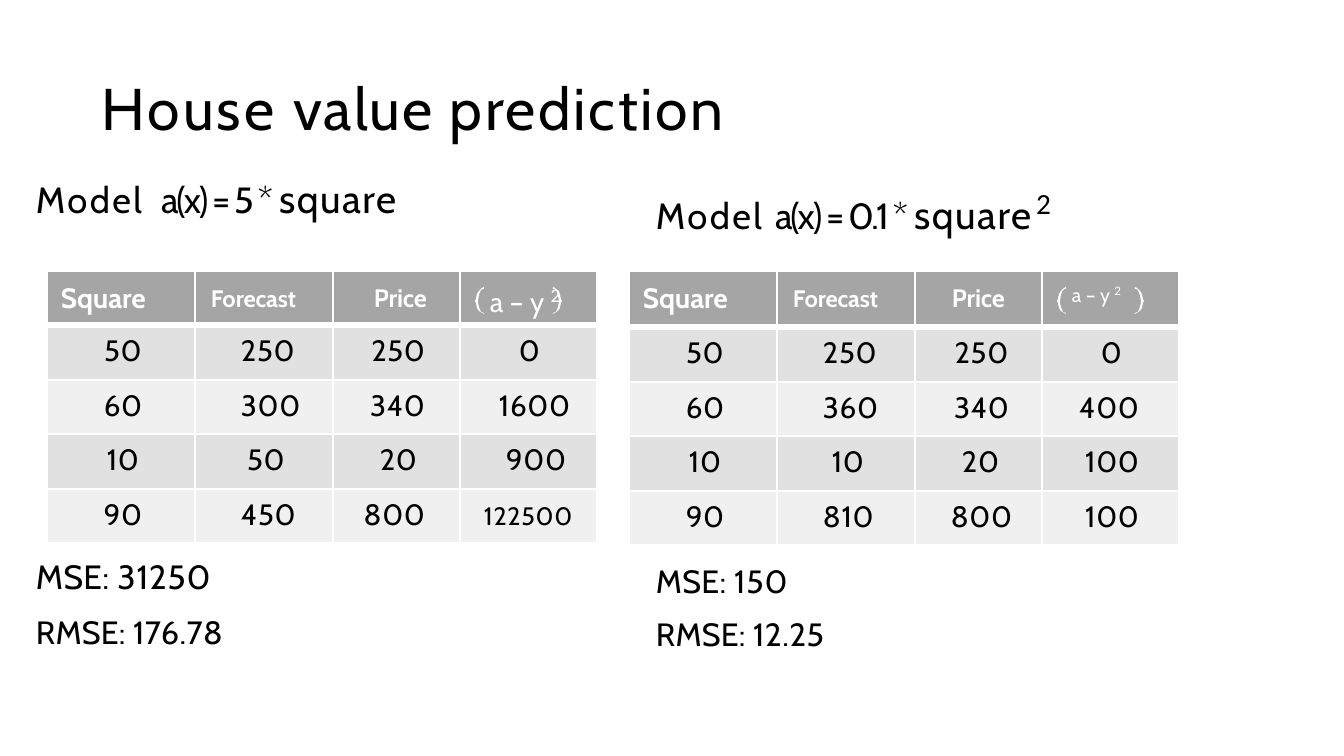
from lxml.etree import SubElement
from pptx import Presentation
from pptx.dml.color import RGBColor
from pptx.enum.text import MSO_ANCHOR, MSO_AUTO_SIZE, PP_ALIGN
from pptx.oxml.ns import qn
from pptx.util import Emu, Pt

SCALE = 12192000 / 1344
COLORS = {"ink": "000000", "white": "FFFFFF", "header": "A5A5A5",
          "odd": "E1E1E1", "even": "F0F0F0"}
ALIGN = {"L": PP_ALIGN.LEFT, "C": PP_ALIGN.CENTER, "R": PP_ALIGN.RIGHT}
COLUMNS = (148, 138, 127, 137)
TOP_INSET = {14: 10, 17: 14, 18: 12, 20: 10, 21: 8}
BRACKET = ((0, 0), (0, 2), (1, 2), (3, 3), (5, 8), (6, 14), (6, 16), (5, 20),
           (3, 25), (0, 26), (0, 27), (5, 24), (7, 21), (8, 16), (9, 14),
           (8, 12), (7, 7), (5, 4), (2, 1))
BRACKET_WIDTH = 9


def px(length):
    """Turn px into EMU."""
    return Emu(round(length * SCALE))


def color(name):
    """Look up a palette colour."""
    return RGBColor.from_string(COLORS[name])


def apply(target, values):
    """Set each attribute in values on the target."""
    for name, value in values.items():
        setattr(target, name, value)


def write(paragraph, text, size, spacing=0, ink="ink", bold=False,
          face="Cabin", raised=0):
    """Add one formatted run to a paragraph."""
    run = paragraph.add_run()
    run.text = text
    apply(run.font, {"name": face, "size": Pt(size), "bold": bold})
    run.font.color.rgb = color(ink)
    properties = run.font._element
    properties.set("spc", str(round(spacing * 100)))
    if raised:
        properties.set("baseline", str(raised * 1000))


def fill_frame(frame, lines, top=1, gap=0):
    """Write lines of runs into a text frame."""
    apply(frame, {"margin_left": px(1), "margin_top": px(top),
                  "margin_right": 0, "margin_bottom": 0, "word_wrap": True,
                  "vertical_anchor": MSO_ANCHOR.TOP,
                  "auto_size": MSO_AUTO_SIZE.SHAPE_TO_FIT_TEXT})
    for index, runs in enumerate(lines):
        paragraph = frame.paragraphs[0] if index == 0 else frame.add_paragraph()
        apply(paragraph, {"alignment": PP_ALIGN.LEFT,
                          "space_before": Pt(gap if index else 0)})
        for run in runs:
            write(paragraph, *run)


def add_title(slide, box):
    """Place the slide title in its box."""
    title = slide.shapes.title
    apply(title, dict(zip(("left", "top", "width", "height"), map(px, box))))
    fill_frame(title.text_frame, [[("House ", 42, 2.1), ("value ", 42, 1.4),
                                   ("prediction", 42, 1.9)]])


def add_text(slide, box, lines, top=1, gap=0):
    """Place a text region in its box."""
    region = slide.shapes.add_textbox(*map(px, box))
    fill_frame(region.text_frame, lines, top, gap)


def draw_borders(cell, row):
    """Give a cell white rules, heavier under the header."""
    properties = cell._tc.get_or_add_tcPr()
    heavy = {(0, "lnB"), (1, "lnT")}
    for side in ("lnL", "lnR", "lnT", "lnB"):
        weight = 4.25 if (row, side) in heavy else 1.5
        line = SubElement(properties, qn("a:" + side), w=str(Pt(weight)))
        solid = SubElement(line, qn("a:solidFill"))
        SubElement(solid, qn("a:srgbClr"), val=COLORS["white"])


def format_cell(cell, row, place, size):
    """Set borders, fill, insets and alignment of a cell."""
    draw_borders(cell, row)
    cell.fill.solid()
    shade = "header" if row == 0 else "odd" if row % 2 else "even"
    cell.fill.fore_color.rgb = color(shade)
    inset = px(int(place[1:]))
    on_right = place[0] == "R"
    apply(cell, {"margin_left": 0 if on_right else inset,
                 "margin_right": inset if on_right else 0,
                 "margin_top": px(TOP_INSET[size]), "margin_bottom": 0,
                 "vertical_anchor": MSO_ANCHOR.TOP})
    cell.text_frame.paragraphs[0].alignment = ALIGN[place[0]]


def add_brackets(slide, left, top):
    """Draw the pair of round brackets of the error formula."""
    closing = [(left + BRACKET_WIDTH + 69 + x, top + y) for x, y in BRACKET]
    opening = [(left + BRACKET_WIDTH - x, top + y) for x, y in BRACKET]
    outline = slide.shapes.build_freeform(*closing[0], scale=SCALE)
    outline.add_line_segments(closing[1:], close=True)
    outline.move_to(*opening[0])
    outline.add_line_segments(opening[1:], close=True)
    brackets = outline.convert_to_shape()
    brackets.shadow.inherit = False
    brackets.fill.solid()
    brackets.fill.fore_color.rgb = color("white")
    brackets.line.fill.background()


def add_errors(slide, box, heights, price_place, formula, rows):
    """Build the table of forecasts and squared errors in its box."""
    left, top = box
    area = map(px, (left, top, sum(COLUMNS), sum(heights)))
    errors = slide.shapes.add_table(len(heights), len(COLUMNS), *area).table
    for column, width in zip(errors.columns, COLUMNS):
        column.width = px(width)
    for row, height in zip(errors.rows, heights):
        row.height = px(height)
    headings = (("Square", "L14", 20), ("Forecast", "L16", 17),
                ("Price", price_place, 18))
    for index, (heading, place, size) in enumerate(headings):
        cell = errors.cell(0, index)
        format_cell(cell, 0, place, size)
        write(cell.text_frame.paragraphs[0], heading, size, -0.1, "white", True)
    size, power_size = formula
    cell = errors.cell(0, 3)
    format_cell(cell, 0, "L30", size)
    paragraph = cell.text_frame.paragraphs[0]
    write(paragraph, "a – y ", size, ink="white")
    write(paragraph, "2", power_size, ink="white", face="Calibri", raised=30)
    for row, (values, places) in enumerate(rows, 1):
        for index, (value, place) in enumerate(zip(values.split(), places.split())):
            size = 18 if len(value) > 4 else 21
            cell = errors.cell(row, index)
            format_cell(cell, row, place, size)
            write(cell.text_frame.paragraphs[0], value, size,
                  0 if value == "0" else 0.5)
    add_brackets(slide, left + sum(COLUMNS[:3]) + 15, top + 16)


def main():
    """Build and save the slide."""
    deck = Presentation()
    apply(deck, {"slide_width": px(1344), "slide_height": px(756)})
    slide = deck.slides.add_slide(deck.slide_layouts[5])
    add_errors(slide, (47, 271), (54, 55, 54, 55, 54), "R33", (20, 24), (
        ("50 250 250 0", "C4 L46 R35 C2"),
        ("60 300 340 1600", "C4 L46 R35 L39"),
        ("10 50 20 900", "C4 C4 C4 L46"),
        ("90 450 800 122500", "C4 L46 R35 L24")))
    add_errors(slide, (629, 271), (56, 55, 54, 55, 54), "C0", (14, 16), (
        ("50 250 250 0", "C4 L46 C6 C2"),
        ("60 360 340 400", "C4 L46 C6 R40"),
        ("10 10 20 100", "C4 C4 C4 R40"),
        ("90 810 800 100", "C4 L46 C6 R40")))
    add_title(slide, (101, 71, 639, 74))
    add_text(slide, (35, 173, 511, 49), [[
        ("Model", 26, 1.7), (" ", 26, 6), ("a(x) = 5 * ", 26, -1.6),
        ("square", 28, 1.1)]])
    add_text(slide, (655, 178, 512, 62), [[
        ("Model ", 26, 1.7), ("a(x) = 0.1 * ", 26, -1.6), ("square", 28, 1.1),
        (" ", 18, 0, "ink", False, "Calibri", 30),
        ("2", 36, 0, "ink", False, "Calibri", 30)]])
    add_text(slide, (35, 539, 206, 114), [
        [("MSE: ", 24, 0.2), ("31250", 24, 0.6)],
        [("RMSE: ", 23, 0.1), ("176.78", 23, 0.3)]], 17, 11.1)
    add_text(slide, (655, 545, 186, 109), [
        [("MSE: ", 23, 0.2), ("150", 23, 0.6)],
        [("RMSE: ", 23, 0.1), ("12.25", 23, 0.3)]], 16, 10.3)
    deck.save("out.pptx")


if __name__ == "__main__":
    main()
